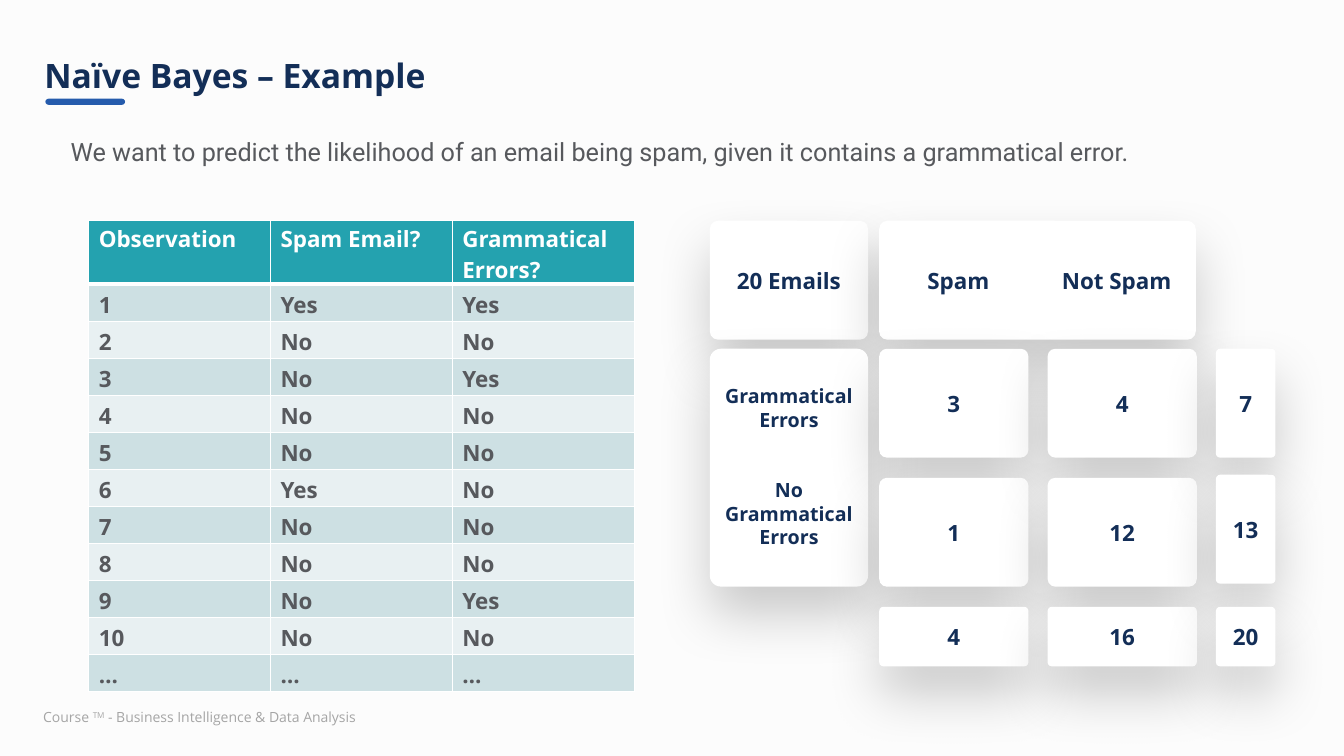
from lxml import etree
from pptx import Presentation
from pptx.dml.color import RGBColor
from pptx.enum.shapes import MSO_SHAPE as Shape
from pptx.enum.text import MSO_ANCHOR as Anchor, MSO_AUTO_SIZE as AutoSize, PP_ALIGN as Align
from pptx.oxml import parse_xml
from pptx.oxml.ns import qn
from pptx.util import Inches, Pt

# Content
TITLE = "Naïve Bayes – Example"
QUESTION = ("We want to predict the likelihood of an email being spam, "
            "given it contains a grammatical error.")
FOOTER = [("Course ", False), ("TM", True), (" - Business Intelligence & Data Analysis", False)]
OBSERVATIONS = [
    ("Observation", "Spam Email?", "Grammatical Errors?"),
    ("1", "Yes", "Yes"),
    ("2", "No", "No"),
    ("3", "No", "Yes"),
    ("4", "No", "No"),
    ("5", "No", "No"),
    ("6", "Yes", "No"),
    ("7", "No", "No"),
    ("8", "No", "No"),
    ("9", "No", "Yes"),
    ("10", "No", "No"),
    ("…", "…", "…"),
]
COUNTS = [("3", "4", "7"), ("1", "12", "13"), ("4", "16", "20")]
# Counts first, then the totals row, then the totals column
COUNT_ORDER = [(0, 0), (1, 0), (0, 1), (1, 1), (2, 0), (2, 1), (0, 2), (1, 2), (2, 2)]

COLORS = {
    "page": "FCFCFC", "navy": "132E57", "blue": "255BAC", "teal": "24A2AF", "white": "FFFFFF",
    "grey": "57595D", "footer": "A5A5A5", "odd": "CDE0E3", "even": "E8F0F2",
}
FONT = "Open Sans"
NS = "http://schemas.openxmlformats.org/drawingml/2006/main"


def rgb(name):
    return RGBColor.from_string(COLORS[name])


def place(shape, left, top, width, height):
    shape.left, shape.top = Inches(left), Inches(top)
    shape.width, shape.height = Inches(width), Inches(height)


def add_span(para, text, size, color, bold=True, font=FONT):
    span = para.add_run()
    span.text = text
    span.font.name, span.font.size, span.font.bold = font, Pt(size), bold
    span.font.color.rgb = rgb(color)
    return span


def add_centred(shape, text, size):
    frame = shape.text_frame
    frame.word_wrap = True
    frame.vertical_anchor = Anchor.MIDDLE
    para = frame.paragraphs[0]
    para.alignment = Align.CENTER
    add_span(para, text, size, "navy")


def add_solid(kind, left, top, width, height, color):
    shape = page.shapes.add_shape(kind, *map(Inches, (left, top, width, height)))
    shape.shadow.inherit = False
    shape.fill.solid()
    shape.fill.fore_color.rgb = rgb(color)
    shape.line.fill.background()
    return shape


def add_card(left, top, width, height, text=None):
    card = add_solid(Shape.ROUNDED_RECTANGLE, left, top, width, height, "white")
    card.adjustments[0] = 0.07
    effects = card._element.spPr.find(qn("a:effectLst"))
    effects.append(parse_xml(
        f'<a:outerShdw xmlns:a="{NS}" blurRad="{Pt(40)}" dist="{Pt(20)}" dir="5400000" '
        'algn="t" rotWithShape="0"><a:srgbClr val="000000"><a:alpha val="20000"/>'
        '</a:srgbClr></a:outerShdw>'))
    if text:
        add_centred(card, text, 16)


def add_label(left, top, width, height, text, size):
    box = page.shapes.add_textbox(*map(Inches, (left, top, width, height)))
    add_centred(box, text, size)


def set_borders(cell, bottom):
    props = cell._tc.get_or_add_tcPr()
    for index, (side, points) in enumerate((("L", 1), ("R", 1), ("T", 1), ("B", bottom))):
        line = etree.fromstring(
            f'<a:ln{side} xmlns:a="{NS}" w="{Pt(points)}"><a:solidFill>'
            f'<a:srgbClr val="{COLORS["white"]}"/></a:solidFill></a:ln{side}>')
        props.insert(index, line)


deck = Presentation()
deck.slide_width, deck.slide_height = Inches(13.33), Inches(7.5)
page = deck.slides.add_slide(deck.slide_layouts[1])
page.background.fill.solid()
page.background.fill.fore_color.rgb = rgb("page")

# Footer
footer = page.shapes.add_textbox(Inches(0.33), Inches(6.98), Inches(3.45), Inches(0.27))
footer.text_frame.word_wrap = True
for text, raised in FOOTER:
    span = add_span(footer.text_frame.paragraphs[0], text, 10, "footer", bold=False)
    if raised:
        span.font._element.set("baseline", "30000")

# Title with underline
title = page.shapes.title
place(title, 0.34, 0.38, 11.53, 0.77)
title.text_frame.auto_size = AutoSize.NONE
title.text_frame.vertical_anchor = Anchor.MIDDLE
para = title.text_frame.paragraphs[0]
para.alignment, para.line_spacing = Align.LEFT, 0.9
add_span(para, TITLE, 24, "navy")
underline = add_solid(Shape.ROUNDED_RECTANGLE, 0.45, 0.98, 0.79, 0.06, "blue")
underline.adjustments[0] = 0.5

# Question
body = page.placeholders[1]
place(body, 0.45, 1.29, 12.54, 0.9)
frame = body.text_frame
frame.auto_size = AutoSize.NONE
frame.margin_left = frame.margin_right = frame.margin_top = frame.margin_bottom = 0
para = frame.paragraphs[0]
props = para._p.get_or_add_pPr()
props.set("marL", str(Inches(0.25)))
props.set("indent", "0")
etree.SubElement(props, qn("a:buNone"))
para.line_spacing, para.space_before, para.space_after = 1.2, Pt(0), Pt(10)
add_span(para, QUESTION, 18, "grey", bold=False, font="Roboto")

# Observations table
HEADER_HEIGHT, ROW_HEIGHT = 0.63, 0.367
table = page.shapes.add_table(
    len(OBSERVATIONS), 3, Inches(0.88), Inches(2.19), Inches(5.41), Inches(4.67)).table
for row, values in enumerate(OBSERVATIONS):
    header = row == 0
    table.rows[row].height = Inches(HEADER_HEIGHT if header else ROW_HEIGHT)
    fill = "teal" if header else "odd" if row % 2 else "even"
    for column, value in enumerate(values):
        cell = table.cell(row, column)
        cell.margin_top, cell.margin_bottom = Inches(0.03 if header else 0.05), 0
        cell.fill.solid()
        cell.fill.fore_color.rgb = rgb(fill)
        set_borders(cell, 3 if header else 1)
        add_span(cell.text_frame.paragraphs[0], value, 16, "white" if header else "grey")

# Heading cards of the count grid
HEAD_LEFT, HEAD_TOP, HEAD_WIDTH, HEAD_HEIGHT = 7.04, 2.19, 1.57, 1.18
GRID_LEFT, GRID_TOP = 8.72, 3.46
add_card(HEAD_LEFT, HEAD_TOP, HEAD_WIDTH, HEAD_HEIGHT, "20 Emails")
add_card(GRID_LEFT, HEAD_TOP, 2 * HEAD_WIDTH, HEAD_HEIGHT)
for column, text in enumerate(("Spam", "Not Spam")):
    add_label(GRID_LEFT + column * HEAD_WIDTH, 2.6, HEAD_WIDTH, 0.37, text, 16)
add_card(HEAD_LEFT, GRID_TOP, HEAD_WIDTH, 2 * HEAD_HEIGHT)
add_label(HEAD_LEFT, 3.76, HEAD_WIDTH, 0.57, "Grammatical Errors", 14)
add_label(HEAD_LEFT, 4.69, HEAD_WIDTH, 0.81, "No Grammatical Errors", 14)

# Count cards, with narrow totals at the right and bottom
COLUMN_STEP, ROW_STEP = 1.67, 1.28
WIDTHS, HEIGHTS = (1.48, 1.48, 0.59), (1.08, 1.08, 0.59)
for row, column in COUNT_ORDER:
    lift = 0.03 if (row, column) == (1, 2) else 0
    add_card(GRID_LEFT + column * COLUMN_STEP, GRID_TOP + row * ROW_STEP - lift,
             WIDTHS[column], HEIGHTS[row], COUNTS[row][column])

deck.save("out.pptx")
